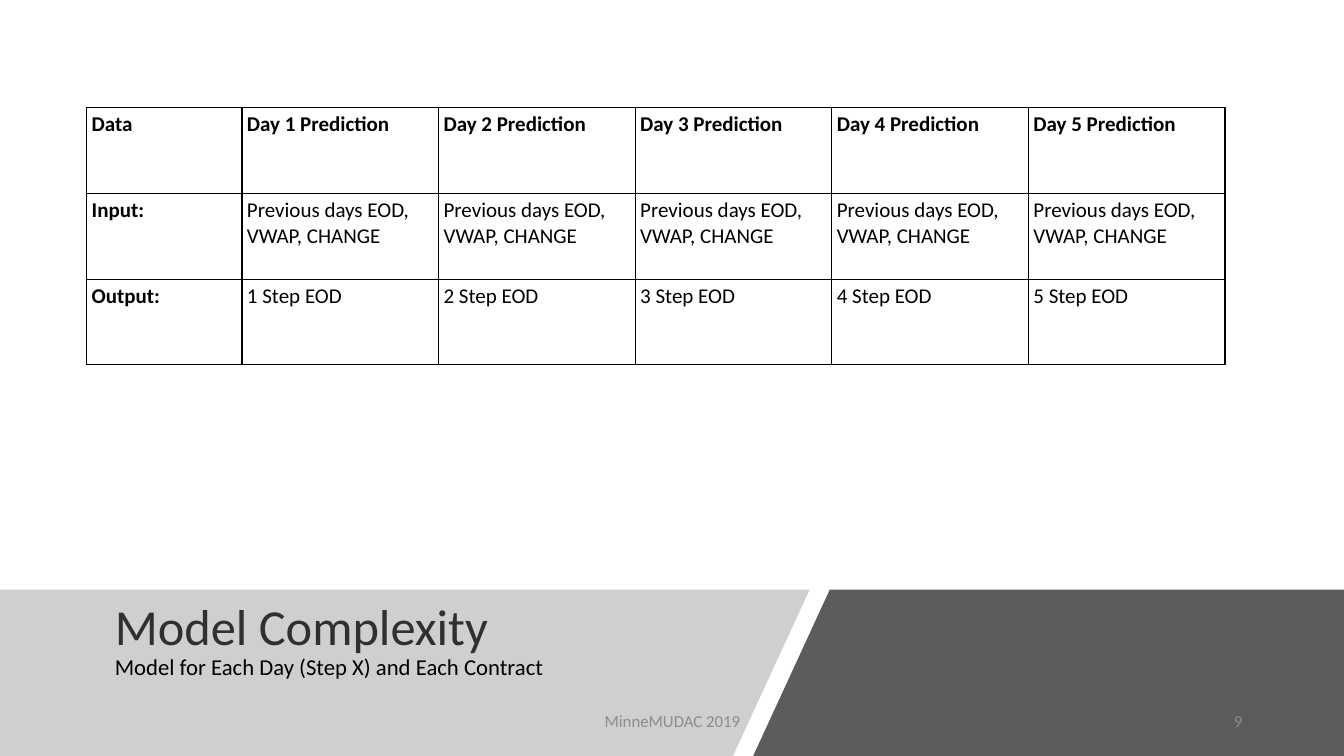
from lxml import etree
from pptx import Presentation
from pptx.dml.color import RGBColor
from pptx.enum import text
from pptx.oxml import ns
from pptx.util import Inches, Pt

BLACK = RGBColor(0, 0, 0)
INK = RGBColor(0x30, 0x30, 0x30)
DARK = RGBColor(0x40, 0x40, 0x40)
PALE = RGBColor(0xD0, 0xCE, 0xCE)
GREY = RGBColor(0x8C, 0x8C, 0x8C)
LEFT, MID, RIGHT = text.PP_ALIGN.LEFT, text.PP_ALIGN.CENTER, text.PP_ALIGN.RIGHT


def write(para, words, size=15, color=BLACK, bold=False, align=LEFT):
    para.alignment = align
    run = para.add_run()
    run.text = words
    font = run.font
    font.name, font.size, font.bold = "Calibri", Pt(size), bold
    font.color.rgb = color


def edge(cell):
    props = cell._tc.get_or_add_tcPr()
    for i, side in enumerate(("lnL", "lnR", "lnT", "lnB")):
        line = etree.Element(ns.qn("a:" + side), w=str(Pt(1)))
        fill = etree.SubElement(line, ns.qn("a:solidFill"))
        etree.SubElement(fill, ns.qn("a:srgbClr"), val=str(BLACK))
        props.insert(i, line)


deck = Presentation()
deck.slide_width, deck.slide_height = Inches(13.33), Inches(7.5)
slide = deck.slides.add_slide(deck.slide_layouts[6])

# Slanted bands along the foot
bands = [
    (DARK, [(8.23, 5.85), (13.33, 5.85), (13.33, 7.5), (7.47, 7.5)]),
    (PALE, [(0, 5.85), (8.03, 5.85), (7.27, 7.5), (0, 7.5)]),
]
for color, points in bands:
    spots = [(Inches(x), Inches(y)) for x, y in points]
    path = slide.shapes.build_freeform(*spots[0])
    path.add_line_segments(spots[1:], close=True)
    band = path.convert_to_shape()
    band.shadow.inherit = False
    band.fill.solid()
    band.fill.fore_color.rgb = color
    band.line.fill.background()
    if color == DARK:
        tint = band.fill._xPr.find(".//" + ns.qn("a:srgbClr"))
        etree.SubElement(tint, ns.qn("a:alpha"), val="85000")

# Title and subtitle
box = slide.shapes.add_textbox(Inches(1.04), Inches(5.97), Inches(6.23), Inches(1.2))
frame = box.text_frame
frame.word_wrap = True
frame.margin_top = 0
write(frame.paragraphs[0], "Model Complexity", size=36, color=INK)
write(frame.add_paragraph(), "Model for Each Day (Step X) and Each Contract", size=16.2)
for para in frame.paragraphs:
    para.line_spacing = 0.9

# Prediction table
days = range(1, 6)
rows = [
    ["Data"] + [f"Day {d} Prediction" for d in days],
    ["Input:"] + ["Previous days EOD, VWAP, CHANGE" for d in days],
    ["Output:"] + [f"{d} Step EOD" for d in days],
]
table = slide.shapes.add_table(3, 6, Inches(0.86), Inches(1.07),
                               Inches(11.29), Inches(2.55)).table
for c, col in enumerate(table.columns):
    col.width = Inches(1.95 if c else 1.54)
for r, words in enumerate(rows):
    table.rows[r].height = Inches(0.85)
    for c, word in enumerate(words):
        cell = table.cell(r, c)
        cell.fill.background()
        cell.margin_left = cell.margin_right = Inches(0.05)
        cell.margin_top = cell.margin_bottom = Inches(0.04)
        write(cell.text_frame.paragraphs[0], word, bold=r == 0 or c == 0)
        edge(cell)

# Footer and page number
for words, left, width, align in [("MinneMUDAC 2019", 4.42, 4.5, MID), ("9", 9.42, 3, RIGHT)]:
    box = slide.shapes.add_textbox(Inches(left), Inches(6.95), Inches(width), Inches(0.4))
    frame = box.text_frame
    frame.word_wrap = True
    frame.vertical_anchor = text.MSO_ANCHOR.MIDDLE
    write(frame.paragraphs[0], words, size=12, color=GREY, align=align)

deck.save("out.pptx")
